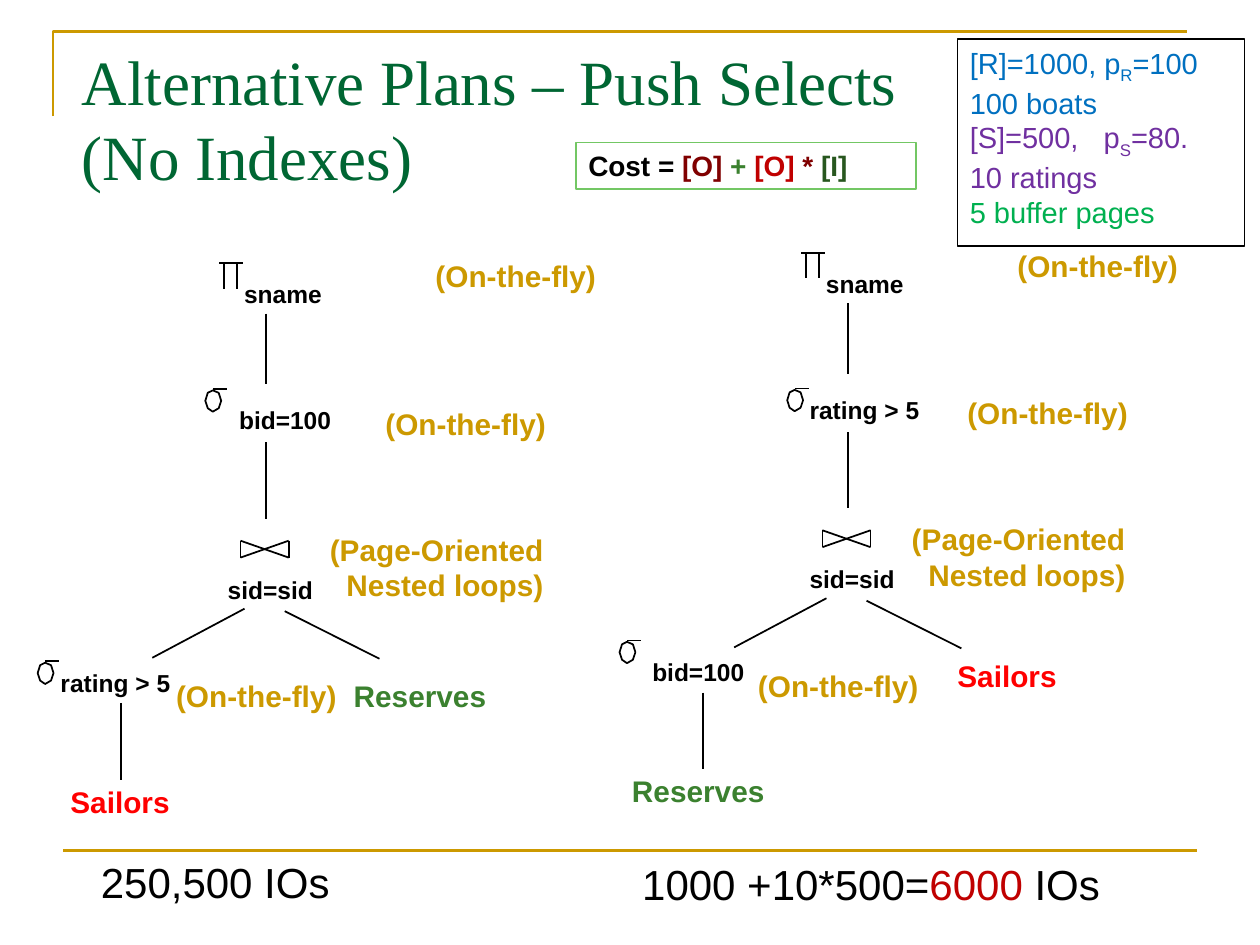
from dataclasses import dataclass
from lxml.etree import SubElement as Sub
from pptx import Presentation as Deck
from pptx.dml.color import RGBColor as Color
from pptx.enum.shapes import MSO_CONNECTOR as Link, MSO_SHAPE as Kind
from pptx.enum.text import MSO_ANCHOR as Anchor, PP_ALIGN as Align
from pptx.oxml.ns import qn
from pptx.util import Cm, Pt


@dataclass(frozen=True)
class Theme:
    """Colours, fonts and type sizes of the slide."""
    sans: str = "Arial"
    serif: str = "Times New Roman"
    black: str = "000000"
    gold: str = "CC9900"
    pine: str = "006633"
    red: str = "FF0000"
    leaf: str = "3B812F"
    blue: str = "0070C0"
    plum: str = "7030A0"
    mint: str = "00B050"
    lime: str = "73C764"
    maroon: str = "800000"
    crimson: str = "C00000"
    moss: str = "28571F"
    title: float = 36
    total: float = 24
    note: float = 17
    stats: float = 16.6
    cost: float = 16
    node: float = 14
    rule: float = 1.5
    edge: float = 1
    frame: float = 0.75


T = Theme()
FLY = "(On-the-fly)"
RING = [(0.32, 0.21), (0.27, 0.05), (0.15, 0), (0.05, 0.05),
        (0, 0.21), (0.05, 0.36), (0.15, 0.43), (0.27, 0.36)]


def stroke(line, tint, width):
    """Set the colour and width of a line."""
    line.color.rgb = Color.from_string(tint)
    line.width = Pt(width)


def draw(shapes, start, end, tint=T.black, width=T.edge):
    """Draw a straight line between two points."""
    line = shapes.add_connector(Link.STRAIGHT, *map(Cm, start + end))
    stroke(line.line, tint, width)
    Sub(line._element.spPr, qn("a:effectLst"))


def trace(shapes, spots, tint=T.black, width=T.edge, close=False):
    """Draw an unfilled outline through the points."""
    spots = [(Cm(x), Cm(y)) for x, y in spots]
    pen = shapes.build_freeform(*spots[0], scale=1)
    pen.add_line_segments(spots[1:], close=close)
    form = pen.convert_to_shape()
    form.shadow.inherit = False
    form.fill.background()
    stroke(form.line, tint, width)


def add_run(para, text, tint, size, face=T.sans, bold=False, low=False):
    """Add one run, lowered if it is a subscript."""
    run = para.add_run()
    run.text = text
    font = run.font
    font.name, font.size, font.bold = face, Pt(size), bold
    font.color.rgb = Color.from_string(tint)
    if low:
        run._r.get_or_add_rPr().set("baseline", "-25000")


def set_tab(para, stop):
    """Give a paragraph one left tab stop."""
    tabs = Sub(para._p.get_or_add_pPr(), qn("a:tabLst"))
    Sub(tabs, qn("a:tab"), pos=str(Cm(stop)), algn="l")


def text_box(shapes, area, wrap=False, anchor=Anchor.TOP):
    """Add an empty text box and return its frame."""
    frame = shapes.add_textbox(*map(Cm, area)).text_frame
    frame.word_wrap = wrap
    frame.vertical_anchor = anchor
    return frame


def panel(shapes, area, tint):
    """Add an outlined box and return its frame."""
    box = shapes.add_shape(Kind.RECTANGLE, *map(Cm, area))
    box.shadow.inherit = False
    box.fill.background()
    stroke(box.line, tint, T.frame)
    frame = box.text_frame
    frame.word_wrap = True
    frame.vertical_anchor = Anchor.TOP
    frame.paragraphs[0].alignment = Align.LEFT
    return frame


def label(shapes, x, y, wide, text, tint=T.black, size=T.node):
    """Add a one-line bold label."""
    high = 0.84 if size == T.node else 0.97
    frame = text_box(shapes, (x, y, wide, high))
    add_run(frame.paragraphs[0], text, tint, size, bold=True)


def project(shapes, x, y):
    """Draw the projection sign."""
    draw(shapes, (x, y), (x + 0.48, y))
    for step in (0.1, 0.36):
        draw(shapes, (x + step, y + 0.02), (x + step, y + 0.51))


def select(shapes, x, y):
    """Draw the selection sign."""
    trace(shapes, [(x + a, y + b) for a, b in RING], close=True)
    draw(shapes, (x + 0.15, y - 0.03), (x + 0.43, y - 0.03))


def join(shapes, x, y):
    """Draw the bow tie of a join."""
    right, foot = x + 0.97, y + 0.34
    for start, end in ((x, x), (right, right), (x, right), (right, x)):
        draw(shapes, (start, y), (end, foot))


def plan(shapes, shift, upper, lower, leaf, side, signs):
    """Draw a query plan tree and move it by the shift."""
    group = shapes.add_group_shape()
    tree = group.shapes
    project(tree, 4.42, 5.31)
    label(tree, 4.67, 5.51, 2.08, "sname")
    for x, y in zip((4.14, 0.76), signs):
        select(tree, x, y)
    label(tree, *upper)
    join(tree, 4.85, 10.9)
    label(tree, 4.34, 11.46, 2.24, "sid=sid")
    label(tree, *lower)
    for start, end in (((5.36, 6.32), (5.36, 7.75)),
                       ((5.36, 8.92), (5.36, 10.46)),
                       ((3.07, 13.26), (4.93, 12.27)),
                       ((5.74, 12.32), (7.65, 13.28)),
                       ((2.44, 14.17), (2.44, 15.72))):
        draw(tree, start, end)
    for x, y in ((8.53, 5.08), (7.52, 8.05), (3.3, 13.54)):
        label(tree, x, y, 3.8, FLY, T.gold, T.note)
    frame = text_box(tree, (6.4, 10.59, 4.85, 1.68))
    add_run(frame.paragraphs[0], "(Page-Oriented", T.gold, T.note, bold=True)
    para = frame.add_paragraph()
    para.alignment = Align.RIGHT
    add_run(para, "Nested loops)", T.gold, T.note, bold=True)
    for name in (leaf, side):
        label(tree, *name, T.note)
    group.left += Cm(shift[0])
    group.top += Cm(shift[1])


def total(shapes, area, parts):
    """Add a centred cost total."""
    para = text_box(shapes, area, anchor=Anchor.MIDDLE).paragraphs[0]
    para.alignment = Align.CENTER
    for text, tint in parts:
        add_run(para, text, tint, T.total)


def heading(shapes):
    """Add the two-line title."""
    frame = text_box(shapes, (1.4, 0.84, 23.37, 3.07), True, Anchor.MIDDLE)
    para = frame.paragraphs[0]
    add_run(para, "Alternative Plans – Push Selects", T.pine, T.title, T.serif)
    para.add_line_break()
    add_run(para, "(No Indexes)", T.pine, T.title, T.serif)


def stats(shapes):
    """Add the box of table sizes."""
    frame = panel(shapes, (19.3, 0.79, 5.79, 4.17), T.black)
    rows = ((T.blue, "[R]=1000, p", "R", "=100"), (T.blue, "100 boats"),
            (T.plum, "[S]=500,\tp", "S", "=80."), (T.plum, "10 ratings"),
            (T.mint, "5 buffer pages"))
    for i, (tint, *parts) in enumerate(rows):
        para = frame.add_paragraph() if i else frame.paragraphs[0]
        para.alignment = Align.LEFT
        if "\t" in parts[0]:
            set_tab(para, 2.7)
        for j, text in enumerate(parts):
            add_run(para, text, tint, T.stats, low=j == 1)


def cost(shapes):
    """Add the cost formula."""
    para = panel(shapes, (11.61, 2.87, 6.86, 0.94), T.lime).paragraphs[0]
    for text, tint in (("Cost = ", T.black), ("[O]", T.maroon),
                       (" + ", T.leaf), ("[O] ", T.crimson),
                       ("* ", T.maroon), ("[I]", T.moss)):
        add_run(para, text, tint, T.cost, bold=True)


def main():
    """Build and save the slide."""
    deck = Deck()
    deck.slide_width, deck.slide_height = Cm(25.4), Cm(19.05)
    shapes = deck.slides.add_slide(deck.slide_layouts[6]).shapes
    trace(shapes, [(1.07, 2.34), (1.07, 0.64), (23.93, 0.64)], T.gold, T.rule)
    draw(shapes, (1.27, 17.15), (24.13, 17.15), T.gold, T.rule)
    plan(shapes, (0, 0), (4.57, 8.05, 2.49, "bid=100"),
         (0.97, 13.34, 2.72, "rating > 5"),
         (1.17, 15.67, 2.51, "Sailors", T.red),
         (6.88, 13.54, 3.18, "Reserves", T.leaf), (7.87, 13.36))
    plan(shapes, (11.73, -0.21), (4.34, 8.05, 2.72, "rating > 5"),
         (1.17, 13.34, 2.49, "bid=100"),
         (0.76, 15.67, 3.18, "Reserves", T.leaf),
         (7.32, 13.34, 2.51, "Sailors", T.red), (8.07, 13.15))
    total(shapes, (1.7, 17.13, 5.28, 1.27), [("250,500 IOs", T.black)])
    heading(shapes)
    stats(shapes)
    total(shapes, (10.69, 17.18, 13.74, 1.27),
          [("1000 +10*500=", T.black), ("6000", T.crimson), (" IOs", T.black)])
    cost(shapes)
    deck.save("out.pptx")


if __name__ == "__main__":
    main()
